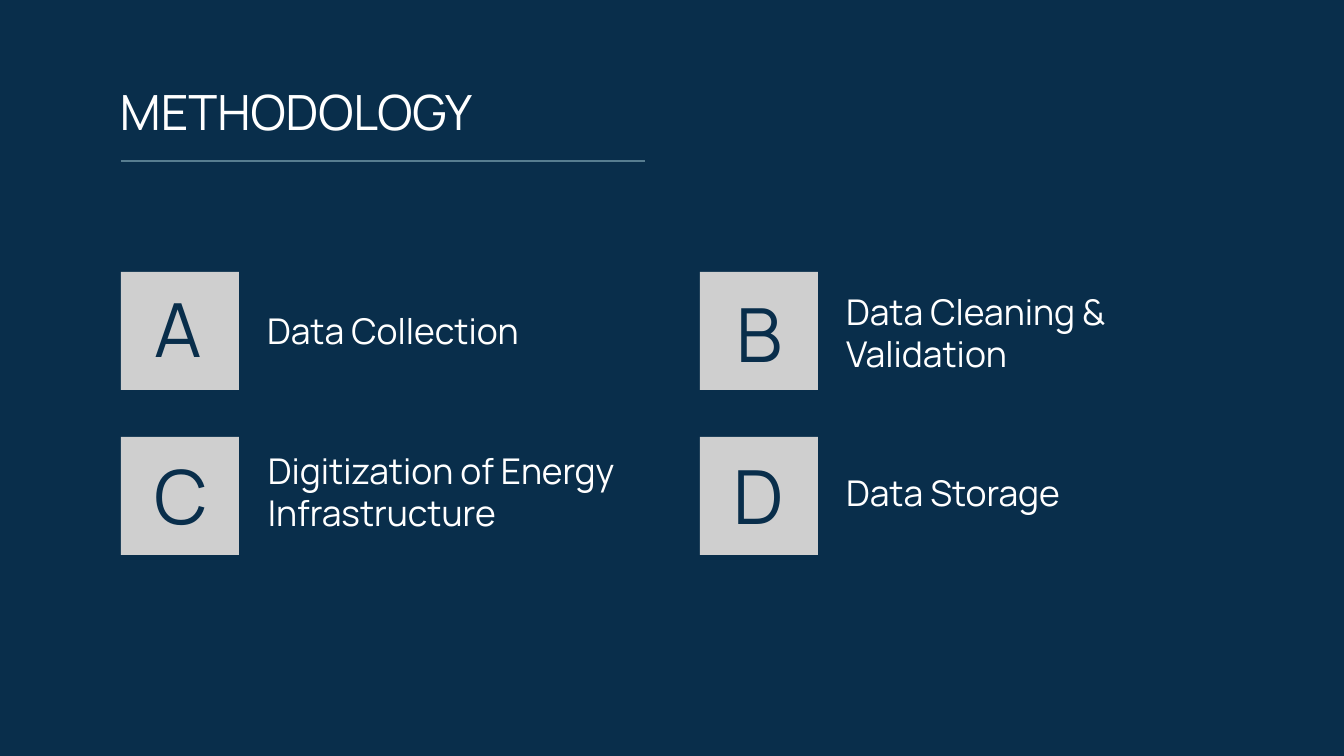
from pptx import Presentation
from pptx.dml.color import RGBColor
from pptx.enum.shapes import MSO_CONNECTOR, MSO_SHAPE
from pptx.enum.text import MSO_ANCHOR, PP_ALIGN
from pptx.oxml.ns import qn
from pptx.util import Emu, Pt
from lxml.etree import SubElement

COLOURS = {"navy": "092E4B", "tile": "CFCFCF", "white": "FFFFFF", "rule": "577D90"}
FONT = "Manrope"
TILE = 118
INSET = 13
LEFT, TOP = 121, 272
COLUMN_STEP, ROW_STEP = 579, 165

# letter, letter box (x, y, width), alignment, label, label box (x, y, width, height);
# boxes are relative to the tile
STEPS = [
    ("A", (20, -2, 79), PP_ALIGN.LEFT, "Data Collection", (133, 26, 390, 67)),
    ("B", (0, 3, 118), PP_ALIGN.CENTER, "Data Cleaning & Validation", (133, 22, 390, 94)),
    ("C", (20, 0, 79), PP_ALIGN.LEFT, "Digitization of Energy Infrastructure", (134, 15, 403, 95)),
    ("D", (20, 0, 79), PP_ALIGN.LEFT, "Data Storage", (133, 23, 390, 67)),
]


def px(length):
    return Emu(round(length * 914400 / 134.4))


def colour(name):
    return RGBColor.from_string(COLOURS[name])


def add_text(page, text, box, size, colour_name, anchor=MSO_ANCHOR.TOP, align=PP_ALIGN.LEFT):
    frame = page.shapes.add_textbox(*map(px, box)).text_frame
    frame.word_wrap = True
    frame.vertical_anchor = anchor
    frame.margin_left = frame.margin_right = px(INSET)
    frame.margin_top = frame.margin_bottom = px(INSET)
    para = frame.paragraphs[0]
    para.text = text
    para.alignment = align
    para.font.name = FONT
    para.font.size = Pt(size)
    para.font.color.rgb = colour(colour_name)


def add_heading(page, left, top, width):
    # Title, with its text edge on the rule's left end
    add_text(page, "METHODOLOGY", (left - INSET - 1, top, 554, 87), 26, "white")
    # Rule below the title
    rule_y = px(top + 92)
    rule = page.shapes.add_connector(
        MSO_CONNECTOR.STRAIGHT, px(left), rule_y, px(left + width), rule_y)
    rule.line.color.rgb = colour("rule")
    rule.line.width = Pt(1.5)
    SubElement(rule._element.spPr, qn("a:effectLst"))


def add_step(page, left, top, letter, letter_box, align, label, label_box):
    # Square tile
    tile = page.shapes.add_shape(
        MSO_SHAPE.RECTANGLE, px(left), px(top), px(TILE), px(TILE))
    tile.shadow.inherit = False
    tile.fill.solid()
    tile.fill.fore_color.rgb = colour("tile")
    tile.line.fill.background()
    # Letter on the tile
    x, y, width = letter_box
    add_text(page, letter, (left + x, top + y, width, 87), 40, "navy", align=align)
    # Label beside the tile
    x, y, width, height = label_box
    add_text(page, label, (left + x, top + y, width, height), 19, "white", MSO_ANCHOR.BOTTOM)


def main():
    deck = Presentation()
    deck.slide_width, deck.slide_height = px(1344), px(756)
    page = deck.slides.add_slide(deck.slide_layouts[6])
    page.background.fill.solid()
    page.background.fill.fore_color.rgb = colour("navy")

    add_heading(page, LEFT, 69, 524)
    # Two-by-two grid of steps
    for index, step in enumerate(STEPS):
        row, column = divmod(index, 2)
        add_step(page, LEFT + column * COLUMN_STEP, TOP + row * ROW_STEP, *step)

    deck.save("out.pptx")


if __name__ == "__main__":
    main()
